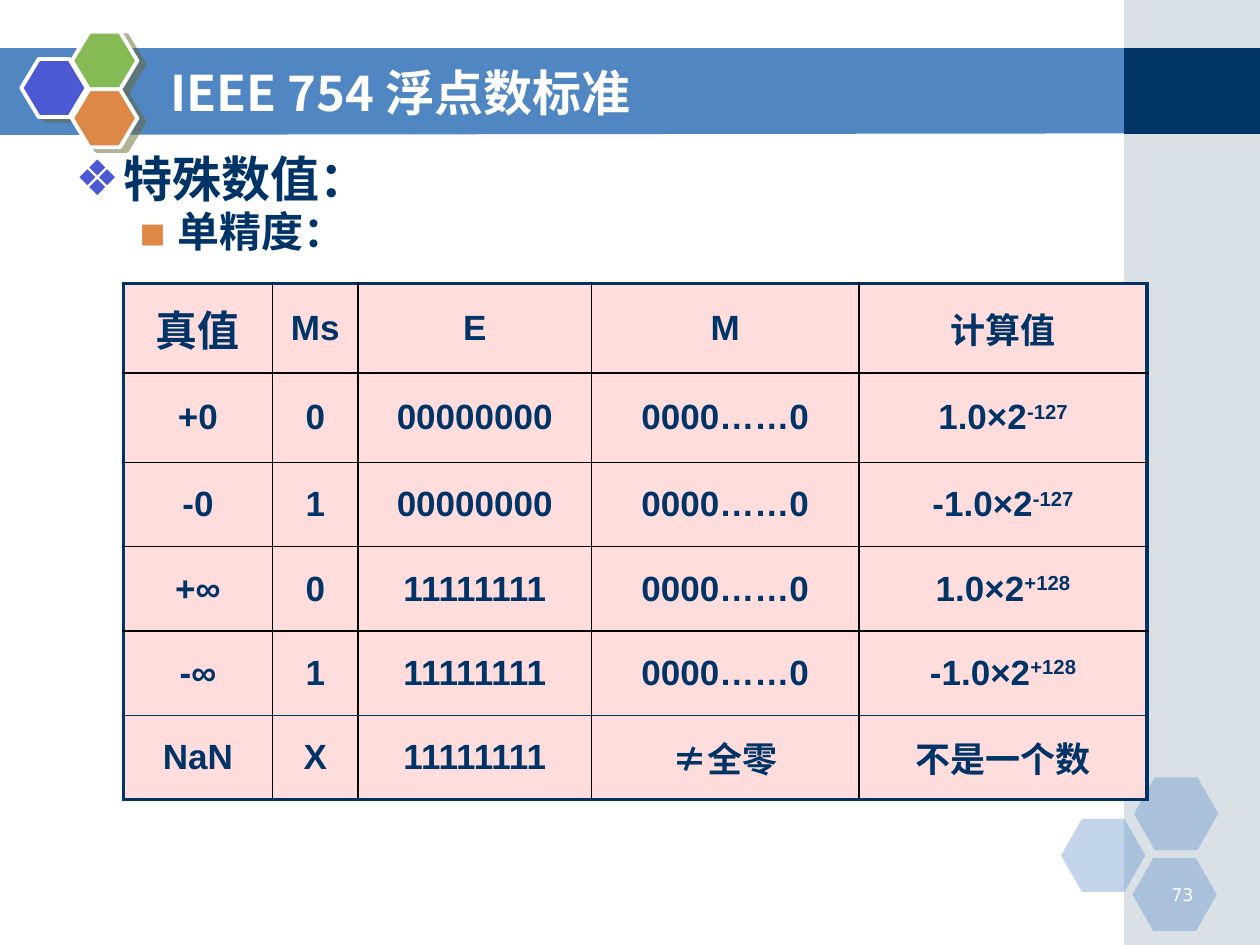
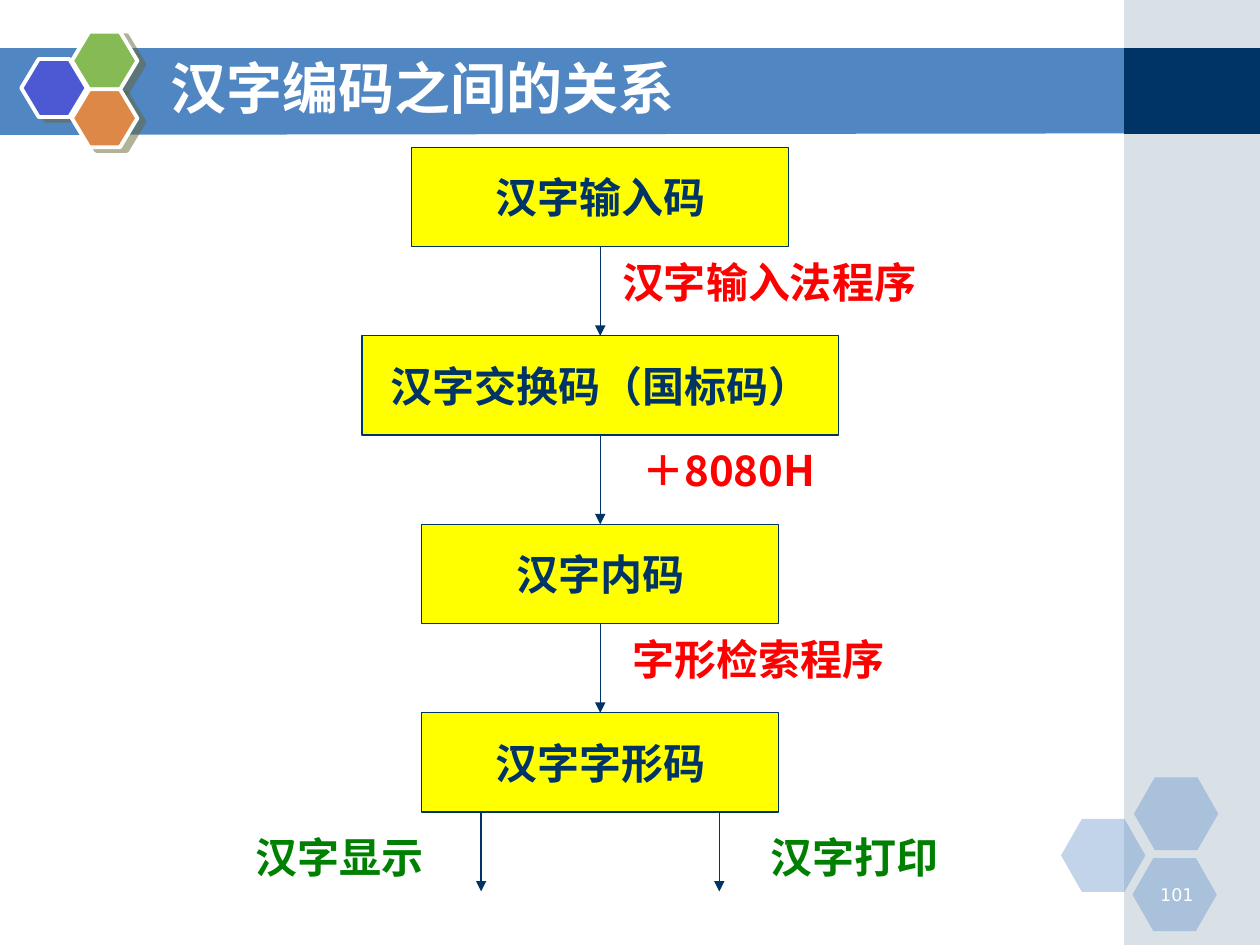
import lxml.etree
import pptx
import pptx.dml.color
import pptx.enum.shapes
import pptx.enum.text
import pptx.oxml.ns
import pptx.util

Cm = pptx.util.Cm
Pt = pptx.util.Pt
SHAPE = pptx.enum.shapes.MSO_SHAPE
ALIGN = pptx.enum.text.PP_ALIGN
ANCHOR = pptx.enum.text.MSO_ANCHOR

NAVY, BLUE, GREY, WHITE, BLACK = "003366", "5086C2", "A0B5C4", "FFFFFF", "000000"
INDIGO, LEAF, ORANGE, OLIVE = "4C59D2", "85BA54", "DE8848", "666633"
YELLOW, RED, GREEN, PINK = "FFFF00", "FF0000", "008000", "FFDDDD"
CJK, LATIN, NUMBER_FONT = "Noto Sans CJK SC", "Arial", "DejaVu Sans"


def color(value):
    return pptx.dml.color.RGBColor.from_string(value)


def add_xml(parent, tag, **attributes):
    element = lxml.etree.SubElement(parent, pptx.oxml.ns.qn(tag))
    for name, value in attributes.items():
        element.set(name, str(value))
    return element


def add_color_xml(parent, value, alpha=None):
    element = add_xml(parent, "a:srgbClr", val=value)
    if alpha is not None:
        add_xml(element, "a:alpha", val=alpha * 1000)


class Deck:
    def __init__(self):
        self.presentation = pptx.Presentation()
        self.presentation.slide_width = Cm(25.4)
        self.presentation.slide_height = Cm(19.05)
        self.slide = None

    # Text formatting
    def format_run(self, run, size, value=NAVY, font=CJK, bold=True):
        run.font.size = Pt(size)
        run.font.bold = bold
        run.font.name = font
        run.font.color.rgb = color(value)
        east_asian = font if font == NUMBER_FONT else CJK
        add_xml(run._r.get_or_add_rPr(), "a:ea", typeface=east_asian)

    def format_paragraph(self, paragraph, text, size, value=NAVY, font=CJK,
                         bold=True, align=ALIGN.LEFT):
        paragraph.text = text
        paragraph.alignment = align
        for run in paragraph.runs:
            self.format_run(run, size, value, font, bold)

    def text(self, text, left, top, width, height, size, value=NAVY,
             anchor=ANCHOR.TOP, **style):
        shape = self.slide.shapes.add_textbox(Cm(left), Cm(top), Cm(width), Cm(height))
        shape.text_frame.word_wrap = True
        shape.text_frame.vertical_anchor = anchor
        self.format_paragraph(shape.text_frame.paragraphs[0], text, size, value, **style)

    def bullets(self, items, left, top, width, height):
        shape = self.slide.shapes.add_textbox(Cm(left), Cm(top), Cm(width), Cm(height))
        frame = shape.text_frame
        frame.word_wrap = True
        for index, (text, size, mark, mark_color, margin, hanging) in enumerate(items):
            paragraph = frame.add_paragraph() if index else frame.paragraphs[0]
            properties = paragraph._p.get_or_add_pPr()
            properties.set("marL", str(Cm(margin)))
            properties.set("indent", str(-Cm(hanging)))
            add_color_xml(add_xml(properties, "a:buClr"), mark_color)
            add_xml(properties, "a:buFont", typeface=NUMBER_FONT)
            add_xml(properties, "a:buChar", char=mark)
            paragraph.line_spacing = 0.9
            if index:
                paragraph.space_before = Pt(2)
            self.format_paragraph(paragraph, text, size)

    # Shapes and lines
    def style_shape(self, shape, fill, alpha=None, line=None, line_width=0.75):
        shape.shadow.inherit = False
        shape.fill.solid()
        shape.fill.fore_color.rgb = color(fill)
        if alpha is not None:
            fill_color = shape._element.spPr.find(".//" + pptx.oxml.ns.qn("a:srgbClr"))
            add_xml(fill_color, "a:alpha", val=alpha * 1000)
        if line:
            shape.line.color.rgb = color(line)
            shape.line.width = Pt(line_width)
        else:
            shape.line.fill.background()

    def shape(self, kind, left, top, width, height, fill, **style):
        shape = self.slide.shapes.add_shape(kind, Cm(left), Cm(top), Cm(width), Cm(height))
        self.style_shape(shape, fill, **style)
        return shape

    def outline(self, points, fill):
        corners = [(Cm(x), Cm(y)) for x, y in points]
        builder = self.slide.shapes.build_freeform(*corners[0])
        builder.add_line_segments(corners[1:])
        self.style_shape(builder.convert_to_shape(), fill)

    def hexagon(self, left, top, width, height, adjustment, fill, **style):
        shape = self.shape(SHAPE.HEXAGON, left, top, width, height, fill, **style)
        shape.adjustments[0] = adjustment
        return shape

    def drop_shadow(self, shape):
        effects = shape._element.spPr.find(pptx.oxml.ns.qn("a:effectLst"))
        shadow = add_xml(effects, "a:outerShdw", blurRad=0, dist=Pt(4.5),
                         dir=27 * 60000, algn="ctr", rotWithShape=0)
        add_color_xml(shadow, OLIVE, 50)

    def box(self, text, center, top, width, height):
        shape = self.shape(SHAPE.RECTANGLE, center - width / 2, top, width, height,
                           YELLOW, line=NAVY)
        shape.text_frame.word_wrap = False
        shape.text_frame.vertical_anchor = ANCHOR.MIDDLE
        self.format_paragraph(shape.text_frame.paragraphs[0], text, 24, align=ALIGN.CENTER)
        return shape

    def arrow(self, x, top, bottom):
        connector = self.slide.shapes.add_connector(
            pptx.enum.shapes.MSO_CONNECTOR.STRAIGHT, Cm(x), Cm(top), Cm(x), Cm(bottom))
        connector.line.color.rgb = color(NAVY)
        connector.line.width = Pt(0.75)
        add_xml(connector.line._get_or_add_ln(), "a:tailEnd", type="triangle")
        add_xml(connector._element.spPr, "a:effectLst")
        return connector

    # Table
    def cell(self, cell, text, size, borders):
        cell.margin_left = cell.margin_right = Cm(0.05)
        cell.margin_top = cell.margin_bottom = Cm(0.13)
        cell.vertical_anchor = ANCHOR.MIDDLE
        base, _, power = text.partition("^")
        paragraph = cell.text_frame.paragraphs[0]
        self.format_paragraph(paragraph, base, size, font=LATIN, align=ALIGN.CENTER)
        if power:
            run = paragraph.add_run()
            run.text = power
            self.format_run(run, size, font=LATIN)
            run._r.get_or_add_rPr().set("baseline", "30000")
        properties = cell._tc.get_or_add_tcPr()
        for side, (value, width) in borders.items():
            line = add_xml(properties, "a:ln" + side, w=Pt(width))
            add_color_xml(add_xml(line, "a:solidFill"), value)
        cell.fill.solid()
        cell.fill.fore_color.rgb = color(PINK)

    def table(self, rows, left, top, widths, heights):
        frame = self.slide.shapes.add_table(
            len(rows), len(widths), Cm(left), Cm(top), Cm(sum(widths)), Cm(sum(heights)))
        table = frame.table
        table.first_row = table.horz_banding = False
        for column, width in zip(table.columns, widths):
            column.width = Cm(width)
        for row, height in zip(table.rows, heights):
            row.height = Cm(height)
        frame_line, grid_line, thin_line = (NAVY, 2.25), (BLACK, 1), (NAVY, 0.75)
        last_row, last_column = len(rows) - 1, len(widths) - 1
        for r, texts in enumerate(rows):
            for c, text in enumerate(texts):
                borders = {
                    "L": frame_line if c == 0 else grid_line,
                    "R": frame_line if c == last_column else grid_line,
                    "T": frame_line if r == 0 else thin_line if r == last_row else grid_line,
                    "B": frame_line if r == last_row
                         else thin_line if r == last_row - 1 else grid_line,
                }
                self.cell(table.cell(r, c), text, 24 if r == c == 0 else 20, borders)

    # Shared slide frame
    def new_slide(self, title, title_size, title_top, number):
        self.slide = self.presentation.slides.add_slide(self.presentation.slide_layouts[6])
        self.outline([(-0.03, 0.97), (22.73, 0.97), (22.73, 2.69), (-0.03, 2.72)], BLUE)
        self.shape(SHAPE.RECTANGLE, 22.66, 0, 2.74, 19.05, GREY, alpha=40)
        self.shape(SHAPE.RECTANGLE, 22.66, 0.97, 2.74, 1.73, NAVY)
        for left, top in [(21.39, 16.51), (22.86, 15.67), (22.83, 17.3)]:
            self.hexagon(left, top, 1.7, 1.47, 0.286, BLUE, alpha=35)
        for left, top, fill in [(0.43, 1.19, INDIGO), (1.45, 0.64, LEAF), (1.45, 1.8, ORANGE)]:
            self.drop_shadow(self.hexagon(left, top, 1.32, 1.17, 0.3, fill,
                                          line=WHITE, line_width=2.25))
        self.text(number, 23.04, 17.7, 1.27, 0.64, 10, WHITE,
                  font=NUMBER_FONT, bold=False, align=ALIGN.RIGHT)
        self.text(title, 3.18, title_top, 18.62, 1.57, title_size, WHITE,
                  anchor=ANCHOR.MIDDLE)


def special_values_slide(deck):
    deck.new_slide("IEEE 754 浮点数标准", 28, 1.07, "73")
    deck.bullets([
        ("特殊数值：", 28, "❖", INDIGO, 0.97, 0.97),
        ("单精度：", 24, "▪", ORANGE, 2.06, 0.79),
    ], 1.27, 3, 21, 2.74)
    zeros, ones, mantissa = "0" * 8, "1" * 8, "0000……0"
    rows = [
        ("真值", "Ms", "E", "M", "计算值"),
        ("+0", "0", zeros, mantissa, "1.0×2^-127"),
        ("-0", "1", zeros, mantissa, "-1.0×2^-127"),
        ("+∞", "0", ones, mantissa, "1.0×2^+128"),
        ("-∞", "1", ones, mantissa, "-1.0×2^+128"),
        ("NaN", "X", ones, "≠全零", "不是一个数"),
    ]
    deck.table(rows, 2.49, 5.72, [3, 1.73, 4.7, 5.4, 5.8], [1.8] * 2 + [1.7] * 4)


def code_relations_slide(deck):
    deck.new_slide("汉字编码之间的关系", 32, 0.97, "101")
    center, first_top, pitch, height = 12.1, 2.97, 3.8, 2

    # Chain of codes
    codes = [("汉字输入码", 7.6), ("汉字交换码（国标码）", 9.6),
             ("汉字内码", 7.2), ("汉字字形码", 7.2)]
    boxes = [deck.box(text, center, first_top + index * pitch, width, height)
             for index, (text, width) in enumerate(codes)]

    # Conversion steps between the codes
    steps = [("汉字输入法程序", 12.29, 6.81), ("＋8080H", 12.7, 4.6),
             ("字形检索程序", 12.5, 6.81)]
    for index, (text, left, width) in enumerate(steps):
        top = first_top + index * pitch + height
        arrow = deck.arrow(center, top, top + pitch - height)
        arrow.begin_connect(boxes[index], 2)
        arrow.end_connect(boxes[index + 1], 0)
        deck.text(text, left, top + 0.07, width, 1.27, 24, RED)

    # Outputs of the glyph code
    bottom = first_top + 3 * pitch + height
    for text, left, arrow_x in [("汉字显示", 4.9, center - 2.4),
                                ("汉字打印", 15.29, center + 2.4)]:
        deck.arrow(arrow_x, bottom, bottom + 1.6)
        deck.text(text, left, bottom + 0.27, 4.2, 1.27, 24, GREEN)


def main():
    deck = Deck()
    special_values_slide(deck)
    code_relations_slide(deck)
    deck.presentation.save("out.pptx")


if __name__ == "__main__":
    main()
